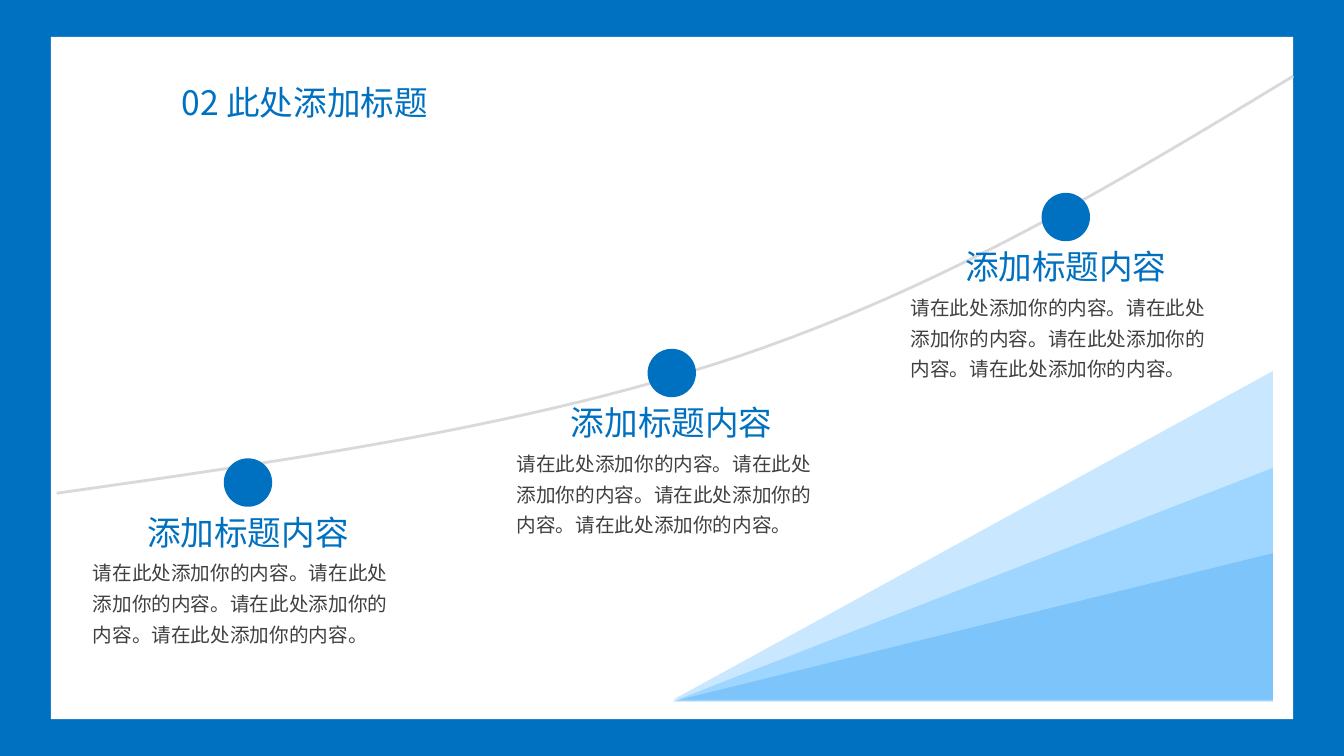
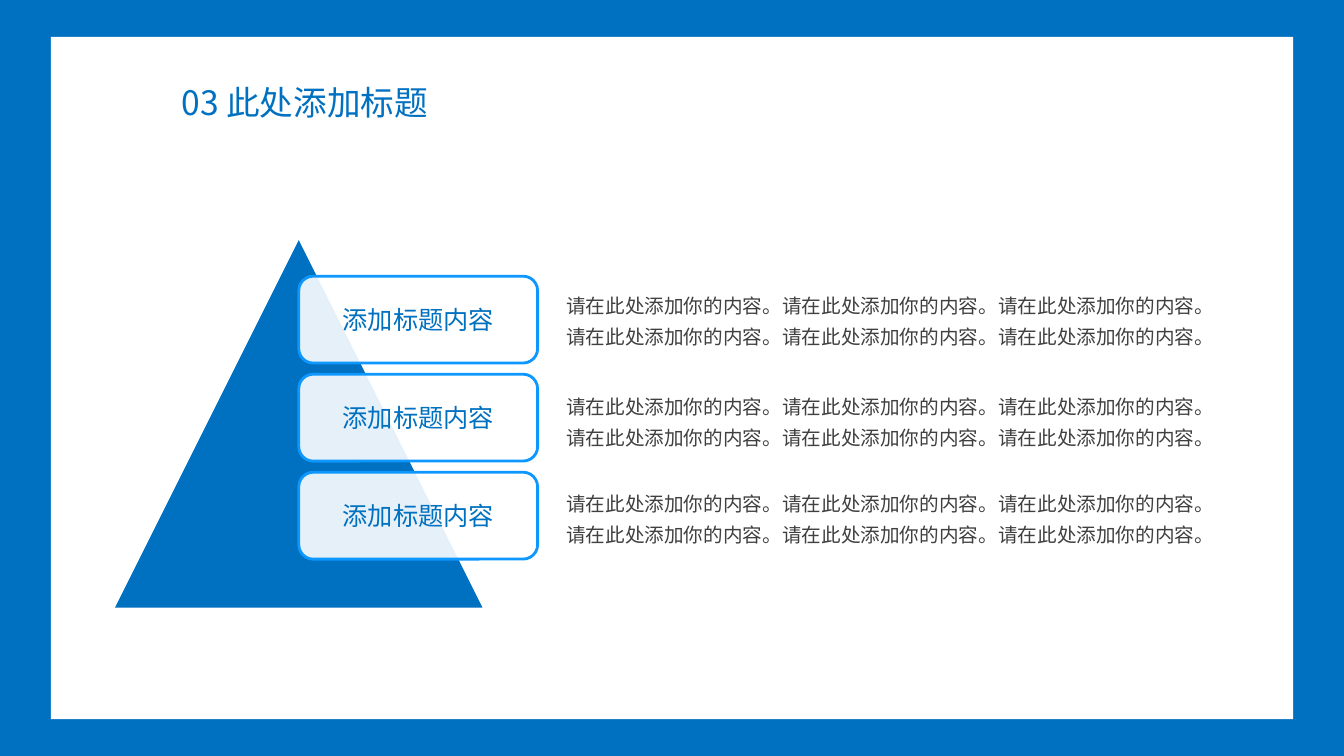
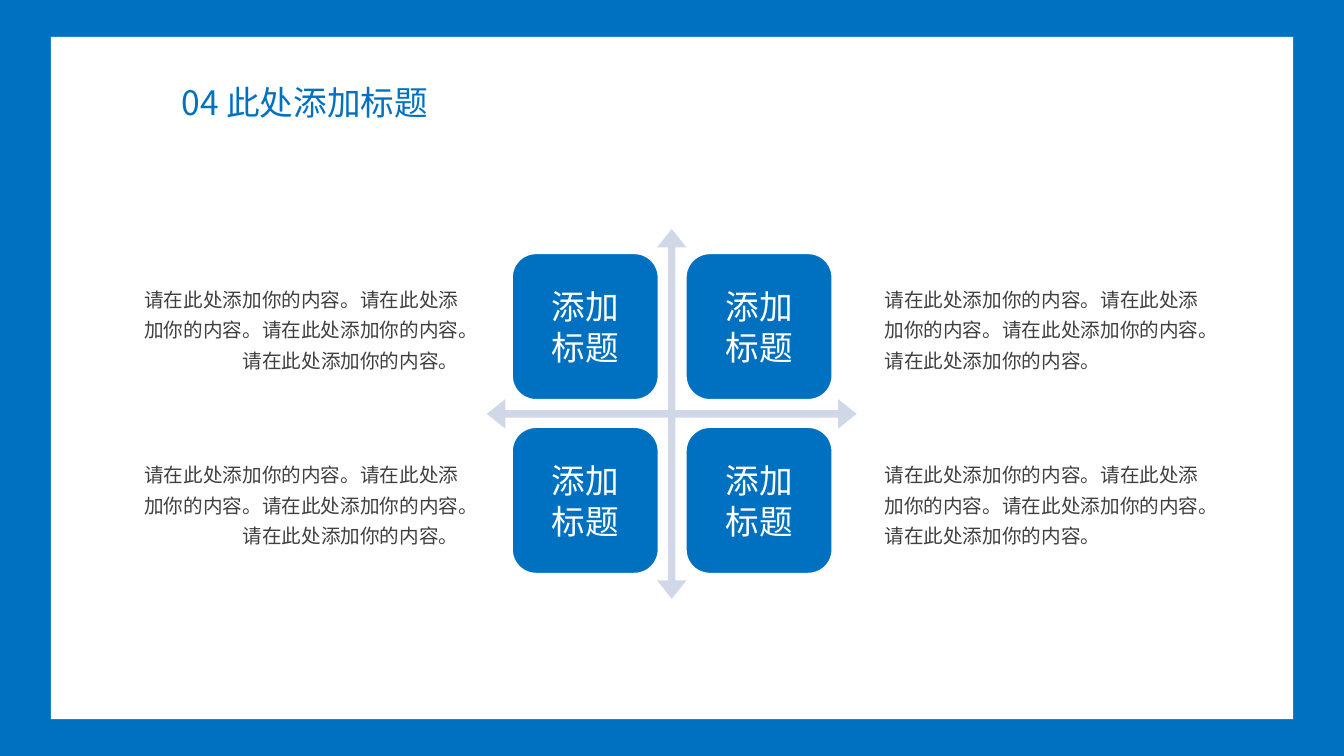
from dataclasses import dataclass

from lxml import etree
from pptx import Presentation
from pptx.dml.color import RGBColor
from pptx.enum.shapes import MSO_SHAPE
from pptx.enum.text import MSO_ANCHOR, MSO_AUTO_SIZE, PP_ALIGN
from pptx.oxml.ns import qn
from pptx.util import Cm, Pt

RECT, OVAL = MSO_SHAPE.RECTANGLE, MSO_SHAPE.OVAL
ROUND_RECT, TRIANGLE = MSO_SHAPE.ROUNDED_RECTANGLE, MSO_SHAPE.ISOSCELES_TRIANGLE
RIGHT_TRIANGLE, QUAD_ARROW = MSO_SHAPE.RIGHT_TRIANGLE, MSO_SHAPE.QUAD_ARROW
LEFT, CENTER, RIGHT = PP_ALIGN.LEFT, PP_ALIGN.CENTER, PP_ALIGN.RIGHT
TOP, MIDDLE = MSO_ANCHOR.TOP, MSO_ANCHOR.MIDDLE
NO_AUTOFIT = MSO_AUTO_SIZE.NONE
TITLE_ONLY = 5

SENTENCE = "请在此处添加你的内容。"
HEADING = "添加标题内容"


@dataclass(frozen=True)
class Theme:
    font: str = "Noto Sans CJK SC"
    blue: str = "0070C0"
    bright: str = "0D97FF"
    deep: str = "0086EA"
    white: str = "FFFFFF"
    ink: str = "404040"
    curve: str = "D9D9D9"
    arrow: str = "D0D8E8"
    heading: int = 24
    label: int = 18
    body: int = 14
    line: int = 2


def rgb(color):
    return RGBColor.from_string(color)


def bezier(p0, p1, p2, p3, steps=24):
    """Points along a cubic curve, without its start."""
    for i in range(1, steps + 1):
        t = i / steps
        u = 1 - t
        yield tuple(u**3 * a + 3 * u * u * t * b + 3 * u * t * t * c + t**3 * d
                    for a, b, c, d in zip(p0, p1, p2, p3))


class Deck:
    """Holds the style and the current slide; lengths are in centimetres."""

    def __init__(self, theme):
        self.theme = theme
        self.prs = Presentation()
        self.prs.slide_width, self.prs.slide_height = Cm(33.87), Cm(19.05)
        fill = self.prs.slide_master.background.fill
        fill.solid()
        fill.fore_color.rgb = rgb(theme.blue)
        self.layout = self.prs.slide_layouts[TITLE_ONLY]
        self.place(self.layout.placeholders[0], 4.32, 1.93, 7.32, 1.27)
        self.slide = None

    def place(self, sp, x, y, w, h):
        sp.left, sp.top, sp.width, sp.height = Cm(x), Cm(y), Cm(w), Cm(h)

    def new_slide(self, title):
        self.slide = self.prs.slides.add_slide(self.layout)
        sp = self.slide.shapes.title
        panel = self.shape(RECT, 1.28, 0.93, 31.31, 17.19, self.theme.white)
        sp.element.addprevious(panel.element)
        self.set_text(sp, title, self.theme.heading, self.theme.blue, anchor=TOP)
        sp.text_frame.auto_size = NO_AUTOFIT

    def set_text(self, sp, text, size, color, align=LEFT, anchor=None,
                 inset=None, spacing=None):
        tf = sp.text_frame
        tf.text = text
        tf.word_wrap = True
        if anchor is not None:
            tf.vertical_anchor = anchor
        if inset is not None:
            tf.margin_left = tf.margin_right = Cm(inset)
            tf.margin_top = tf.margin_bottom = Cm(inset)
        for p in tf.paragraphs:
            p.alignment = align
            if spacing:
                p.line_spacing = spacing
            for r in p.runs:
                r.font.name, r.font.size = self.theme.font, Pt(size)
                r.font.color.rgb = rgb(color)
                etree.SubElement(r._r.get_or_add_rPr(), qn("a:ea"),
                                 typeface=self.theme.font)

    def shape(self, kind, x, y, w, h, color, opacity=100, line=None, flip=False):
        sp = self.slide.shapes.add_shape(kind, Cm(x), Cm(y), Cm(w), Cm(h))
        sp.shadow.inherit = False
        sp.fill.solid()
        sp.fill.fore_color.rgb = rgb(color)
        spPr = sp.element.spPr
        if opacity < 100:
            clr = spPr.find(".//" + qn("a:srgbClr"))
            etree.SubElement(clr, qn("a:alpha"), val=str(opacity * 1000))
        if flip:
            spPr.find(qn("a:xfrm")).set("flipH", "1")
        if line:
            self.outline(sp, line)
        else:
            sp.line.fill.background()
        return sp

    def outline(self, sp, color):
        sp.line.color.rgb = rgb(color)
        sp.line.width = Pt(self.theme.line)

    def curve(self, start, *pieces):
        points, p0 = [], start
        for p1, p2, p3 in pieces:
            points += bezier(p0, p1, p2, p3)
            p0 = p3
        fb = self.slide.shapes.build_freeform(*map(Cm, start))
        fb.add_line_segments([(Cm(x), Cm(y)) for x, y in points], close=False)
        sp = fb.convert_to_shape()
        sp.shadow.inherit = False
        sp.fill.background()
        self.outline(sp, self.theme.curve)

    def text_box(self, x, y, w, h, text, size, color, **style):
        sp = self.slide.shapes.add_textbox(Cm(x), Cm(y), Cm(w), Cm(h))
        self.set_text(sp, text, size, color, **style)

    def body(self, x, y, w, h, sentences, align=LEFT):
        self.text_box(x, y, w, h, SENTENCE * sentences, self.theme.body,
                      self.theme.ink, align=align, inset=0, spacing=1.3)

    def milestone(self, center, top):
        th, dot = self.theme, 1.22
        self.body(center - 3.91, top + 2.42, 7.85, 2.34, 4)
        self.text_box(center - 3.4, top + dot, 6.8, 1.27, HEADING,
                      th.heading, th.blue, align=CENTER)
        self.shape(OVAL, center - dot / 2, top, dot, dot, th.blue)

    def label(self, x, y, w, h):
        th = self.theme
        sp = self.shape(ROUND_RECT, x, y, w, h, th.white, 90, th.bright)
        self.set_text(sp, HEADING, th.label, th.blue, CENTER, MIDDLE, inset=0.18)

    def tile(self, x, y, side):
        th = self.theme
        sp = self.shape(ROUND_RECT, x, y, side, side, th.blue, line=th.white)
        self.set_text(sp, "添加\n标题", th.heading, th.white, CENTER, MIDDLE)


def growth_slide(deck):
    th = deck.theme
    deck.new_slide("02 此处添加标题")
    deck.curve((1.43, 12.43),
               ((7.42, 11.58), (13.44, 10.72), (18.64, 8.97)),
               ((23.85, 7.21), (28.22, 4.57), (32.59, 1.92)))
    for center, top in ((6.25, 11.55), (16.93, 8.79), (26.86, 4.86)):
        deck.milestone(center, top)
    # Layered wedges in the corner
    for x, y, w, h, color in ((16.95, 11.79, 15.13, 5.89, th.bright),
                              (16.97, 9.35, 15.11, 8.28, th.bright),
                              (16.98, 13.94, 15.1, 3.73, th.deep)):
        deck.shape(RIGHT_TRIANGLE, x, y, w, h, color, 22, flip=True)


def pyramid_slide(deck):
    deck.new_slide("03 此处添加标题")
    deck.shape(TRIANGLE, 2.9, 6.05, 9.26, 9.26, deck.theme.blue)
    for i, body_top in enumerate((7.24, 9.78, 12.22)):
        deck.label(7.53, 6.96 + i * 2.47, 6.02, 2.19)
        deck.body(14.27, body_top, 16.41, 1.47, 6)


def matrix_slide(deck):
    deck.new_slide("04 此处添加标题")
    # Crossed axes
    arrows = deck.shape(QUAD_ARROW, 12.27, 5.77, 9.32, 9.32, deck.theme.arrow)
    for i, value in enumerate((0.02, 0.04, 0.05)):
        arrows.adjustments[i] = value
    # Four quadrants with their notes
    for col, (note_x, align) in enumerate(((3.25, RIGHT), (22.29, LEFT))):
        for row in range(2):
            deck.tile(12.89 + col * 4.38, 6.37 + row * 4.38, 3.72)
            deck.body(note_x, 7.07 + row * 4.42, 8.31, 2.34, 4, align)


def main():
    deck = Deck(Theme())
    growth_slide(deck)
    pyramid_slide(deck)
    matrix_slide(deck)
    deck.prs.save("out.pptx")


if __name__ == "__main__":
    main()
